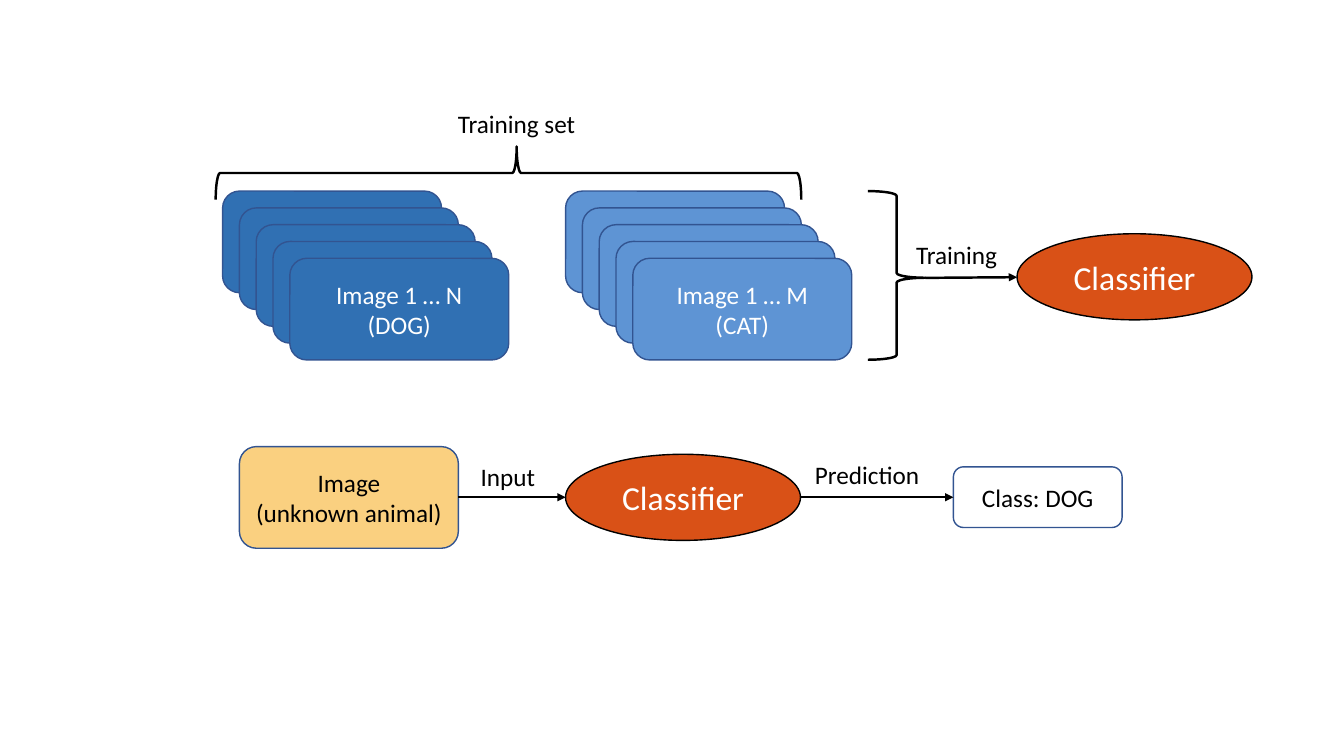
"""Build a slide on training a dog/cat image classifier and predicting with it."""
from dataclasses import dataclass

from lxml.etree import SubElement
from pptx import Presentation
from pptx.dml.color import RGBColor
from pptx.enum.shapes import MSO_CONNECTOR as Connector, MSO_SHAPE as Shape
from pptx.enum.text import MSO_ANCHOR as Anchor, MSO_AUTO_SIZE as AutoSize, PP_ALIGN as Align
from pptx.oxml.ns import qn
from pptx.util import Pt


@dataclass(frozen=True)
class Theme:
    font: str = "Calibri"
    body: float = 18
    large: float = 24
    thin: float = 1
    thick: float = 1.75
    black: RGBColor = RGBColor(0x00, 0x00, 0x00)
    white: RGBColor = RGBColor(0xFF, 0xFF, 0xFF)
    dog: RGBColor = RGBColor(0x30, 0x70, 0xB3)
    cat: RGBColor = RGBColor(0x5E, 0x94, 0xD4)
    unknown: RGBColor = RGBColor(0xFA, 0xD0, 0x80)
    classifier: RGBColor = RGBColor(0xD9, 0x51, 0x17)
    outline: RGBColor = RGBColor(0x32, 0x54, 0x91)


theme = Theme()


def write(frame, text, size=theme.body, color=theme.black, align=Align.CENTER,
          anchor=Anchor.MIDDLE, wrap=True):
    """Fill a text frame, one paragraph per line of text."""
    frame.text = text
    frame.word_wrap = wrap
    frame.vertical_anchor = anchor
    for paragraph in frame.paragraphs:
        paragraph.alignment = align
        paragraph.font.name = theme.font
        paragraph.font.size = Pt(size)
        paragraph.font.color.rgb = color


def draw(kind, box, fill=None, line=theme.outline, weight=theme.thin):
    """Add a flat preset shape, hollow when no fill is given."""
    shape = slide.shapes.add_shape(kind, *map(Pt, box))
    shape.shadow.inherit = False
    if fill is None:
        shape.fill.background()
    else:
        shape.fill.solid()
        shape.fill.fore_color.rgb = fill
    shape.line.color.rgb = line
    shape.line.width = Pt(weight)
    return shape


deck = Presentation()
deck.slide_width, deck.slide_height = Pt(960), Pt(540)
slide = deck.slides.add_slide(deck.slide_layouts[6])

card_width, card_height = 156.4, 72.6
stack_top, stack_step, stack_count = 136.5, 12, 5
dog_left, cat_left = 159, 404
for stack_left, fill, caption in (
    (dog_left, theme.dog, "Image 1 … N\n(DOG)"),
    (cat_left, theme.cat, "Image 1 … M\n(CAT)"),
):
    for offset in range(0, stack_count * stack_step, stack_step):
        card = draw(Shape.ROUNDED_RECTANGLE,
                    (stack_left + offset, stack_top + offset, card_width, card_height), fill)
    write(card.text_frame, caption, color=theme.white)

for box, rotation in (((620, stack_top, 41, 120.5), 0), ((344.2, -85.6, 38, 418.3), 270)):
    brace = draw(Shape.RIGHT_BRACE, box, line=theme.black, weight=theme.thick)
    brace.rotation = rotation
    brace.adjustments[0], brace.adjustments[1] = 0.083, 0.514

for left, top in ((726.5, 167), (cat_left, 324.5)):
    classifier = draw(Shape.OVAL, (left, top, 167.8, 61.5), theme.classifier, theme.black)
    write(classifier.text_frame, "Classifier", size=theme.large, color=theme.white)

for box, fill, caption in (
    ((dog_left + stack_step, 319, card_width, card_height), theme.unknown,
     "Image\n(unknown animal)"),
    ((681, 333.5, 120.5, 43.3), theme.white, "Class: DOG"),
):
    card = draw(Shape.ROUNDED_RECTANGLE, box, fill)
    write(card.text_frame, caption)

for caption, left, top, width in (
    ("Training set", 320, 73.5, 99.4),
    ("Training", 647.3, 167.5, 72.7),
    ("Input", 336.2, 326.3, 54),
    ("Prediction", 575, 324.7, 90),
):
    label = slide.shapes.add_textbox(Pt(left), Pt(top), Pt(width), Pt(29))
    write(label.text_frame, caption, align=Align.LEFT, anchor=Anchor.TOP, wrap=False)
    label.text_frame.auto_size = AutoSize.SHAPE_TO_FIT_TEXT

for ends in ((661, 198.5, 726.5, 198), (327.4, 355.2, 404, 355.2), (571.8, 355.2, 681, 355.2)):
    arrow = slide.shapes.add_connector(Connector.STRAIGHT, *map(Pt, ends))
    arrow.line.color.rgb = theme.black
    arrow.line.width = Pt(theme.thick)
    SubElement(arrow.line._get_or_add_ln(), qn("a:tailEnd"), type="triangle")
    SubElement(arrow._element.spPr, qn("a:effectLst"))

deck.save("out.pptx")
